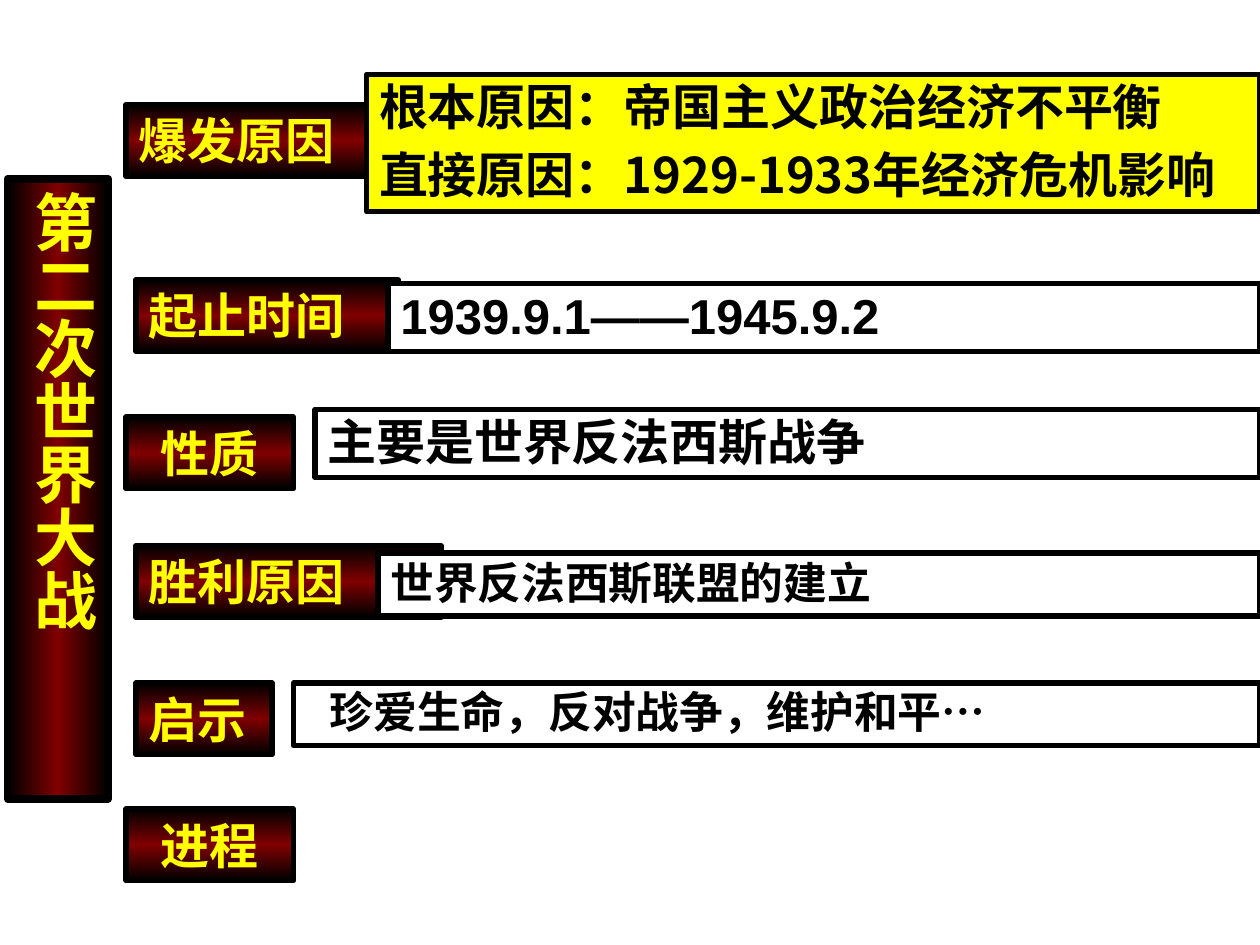
from copy import deepcopy

from pptx import Presentation
from pptx.dml.color import RGBColor
from pptx.enum.shapes import MSO_SHAPE as Shape
from pptx.enum.text import MSO_ANCHOR as Anchor, MSO_AUTO_SIZE as AutoSize, PP_ALIGN as Align
from pptx.oxml.ns import qn
from pptx.util import Inches, Pt

COLORS = {"black": "000000", "maroon": "800000", "yellow": "FFFF00", "white": "FFFFFF"}


def color(name):
    return RGBColor.from_string(COLORS[name])


class OutlineSlide:
    frame_format = {
        "word_wrap": True,
        "auto_size": AutoSize.SHAPE_TO_FIT_TEXT,
        "vertical_anchor": Anchor.TOP,
    }

    def __init__(self, deck):
        self.slide = deck.slides.add_slide(deck.slide_layouts[6])

    def box(self, bounds, lines, size, ink, font="Arial", align=Align.LEFT,
            line_width=3, spacing=None, gap=0):
        box = self.slide.shapes.add_shape(Shape.RECTANGLE, *map(Inches, bounds))
        box.shadow.inherit = False
        box.line.color.rgb = color("black")
        box.line.width = Pt(line_width)
        for name, value in self.frame_format.items():
            setattr(box.text_frame, name, value)
        font_format = {"name": font, "size": Pt(size), "bold": True}
        for index, text in enumerate(lines):
            para = box.text_frame.paragraphs[0] if index == 0 else box.text_frame.add_paragraph()
            para.alignment = align
            para.line_spacing = spacing
            if index:
                para.space_before = Pt(gap)
            span = para.add_run()
            span.text = text
            for name, value in font_format.items():
                setattr(span.font, name, value)
            span.font.color.rgb = color(ink)
        return box

    def shade(self, box, angle):
        """Fill with a black, maroon, black gradient."""
        box.fill.gradient()
        box.fill.gradient_angle = angle
        stop_list = box._element.spPr.find(qn("a:gradFill")).find(qn("a:gsLst"))
        stop_list.append(deepcopy(stop_list[-1]))
        stops = zip(box.fill.gradient_stops, (0, 0.5, 1), ("black", "maroon", "black"))
        for stop, position, name in stops:
            stop.position = position
            stop.color.rgb = color(name)

    def title(self, bounds, text):
        box = self.box(bounds, [text], 36, "yellow", align=Align.CENTER, line_width=4.5)
        self.shade(box, 0)
        frame = box.text_frame
        frame.margin_left = frame.margin_right = Inches(0.05)
        frame.margin_top = frame.margin_bottom = Inches(0.1)
        frame._txBody.bodyPr.set("vert", "eaVert")

    def label(self, left, top, width, text, align=Align.LEFT):
        box = self.box((left, top, width, 0.57), [text], 28, "yellow", align=align)
        self.shade(box, 90)

    def answer(self, left, top, height, lines, size=28, fill="white", font="Arial", indent=0):
        """Add a detail box that runs to the right edge of the slide."""
        box = self.box((left, top, 10 - left, height), lines, size, "black",
                       font=font, spacing=0.95, gap=7)
        box.fill.solid()
        box.fill.fore_color.rgb = color(fill)
        if indent:
            properties = box.text_frame.paragraphs[0]._p.get_or_add_pPr()
            properties.set("marL", str(Inches(indent)))
            properties.set("indent", "0")


def main():
    deck = Presentation()
    deck.slide_width, deck.slide_height = Inches(10), Inches(7.5)
    outline = OutlineSlide(deck)

    outline.title((0.06, 1.42, 0.8, 4.92), "第二次世界大战")
    for label in (
        (1, 0.83, 2.17, "爆发原因"),
        (1.08, 2.22, 2.08, "起止时间"),
        (1, 3.31, 1.33, "性质", Align.CENTER),
        (1.08, 4.33, 2.42, "胜利原因"),
        (1.08, 5.42, 1.08, "启示"),
        (1, 6.42, 1.33, "进程", Align.CENTER),
    ):
        outline.label(*label)

    causes = ["根本原因：帝国主义政治经济不平衡", "直接原因：1929-1933年经济危机影响"]
    outline.answer(2.91, 0.59, 1.09, causes, fill="yellow", font="Noto Sans CJK SC")
    outline.answer(3.08, 2.25, 0.54, ["1939.9.1——1945.9.2"])
    outline.answer(2.5, 3.25, 0.54, ["主要是世界反法西斯战争"])
    outline.answer(3, 4.39, 0.5, ["世界反法西斯联盟的建立"], size=25)
    outline.answer(2.33, 5.42, 0.5, ["珍爱生命，反对战争，维护和平…"], size=25, indent=0.19)

    deck.save("out.pptx")


if __name__ == "__main__":
    main()
